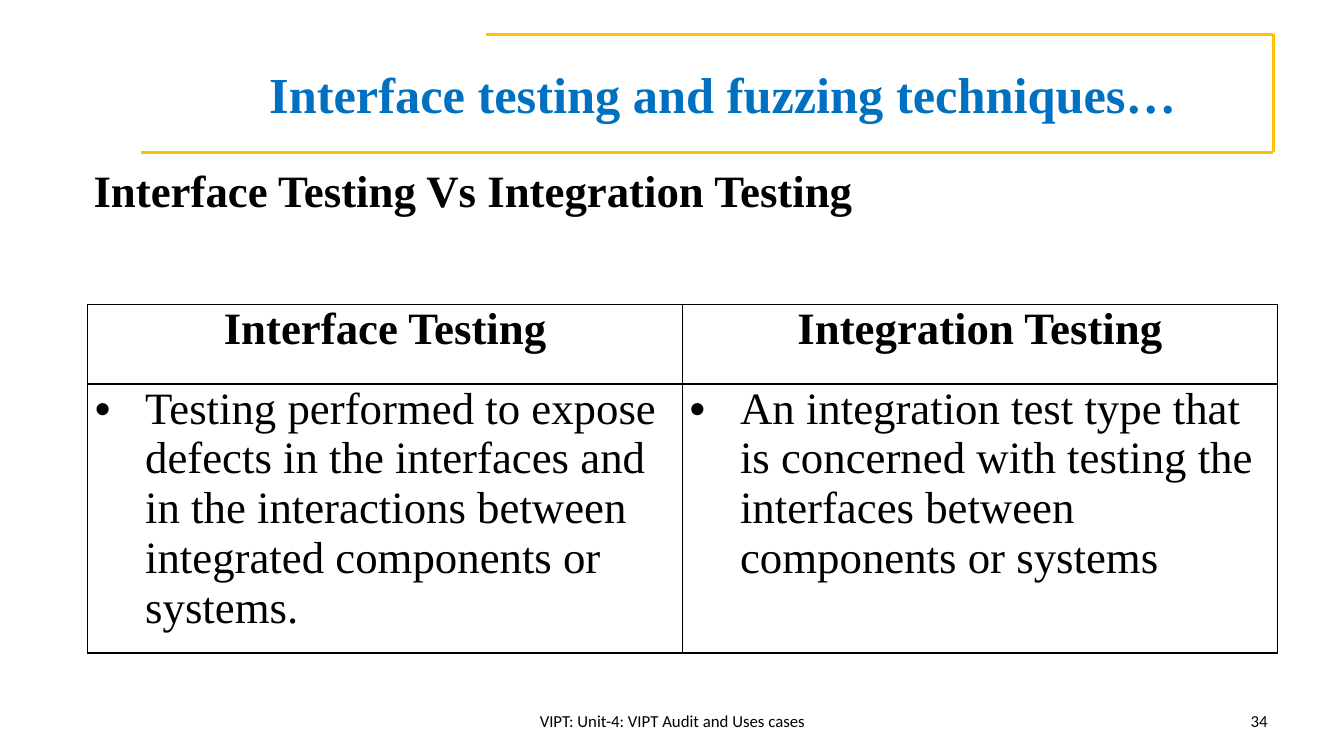
from pptx import Presentation
from pptx.dml.color import RGBColor
from pptx.enum.shapes import MSO_CONNECTOR
from pptx.enum.text import MSO_ANCHOR, PP_ALIGN
from pptx.oxml.ns import qn
from pptx.util import Inches, Pt
from lxml.etree import SubElement

BLACK = RGBColor(0, 0, 0)
BLUE = RGBColor(0x00, 0x70, 0xC0)
GOLD = RGBColor(0xFF, 0xC1, 0x00)

HEADING = dict(name="Times New Roman", size=Pt(32), bold=True)
BODY = {**HEADING, "bold": False}
TITLE = {**HEADING, "size": Pt(36)}
FOOTER = dict(name="Calibri", size=Pt(12))

# text, (left, top, width, height), font, colour, alignment, anchor
TEXTS = [
    ("Interface testing and fuzzing techniques…", (1.67, 0.3, 11, 1.25),
     TITLE, BLUE, PP_ALIGN.CENTER, MSO_ANCHOR.MIDDLE),
    ("VIPT: Unit-4: VIPT Audit and Uses cases", (4.56, 6.95, 4.22, 0.4),
     FOOTER, BLACK, PP_ALIGN.CENTER, MSO_ANCHOR.MIDDLE),
    ("34", (9.56, 6.95, 3.11, 0.4),
     FOOTER, BLACK, PP_ALIGN.RIGHT, MSO_ANCHOR.MIDDLE),
    ("Interface Testing Vs Integration Testing", (0.83, 1.57, 12.26, 0.64),
     HEADING, BLACK, PP_ALIGN.JUSTIFY, MSO_ANCHOR.TOP),
]
COMPARISON = [
    ("Interface Testing", "Integration Testing"),
    ("Testing performed to expose defects in the interfaces and in the "
     "interactions between integrated components or systems.",
     "An integration test type that is concerned with testing the "
     "interfaces between components or systems"),
]
TABLE_LEFT, TABLE_TOP, COLUMN_WIDTH = 0.87, 3.02, 5.9
ROW_HEIGHTS = (0.79, 2.66)
FRAME = [(4.82, 0.34), (12.63, 0.34), (12.63, 1.51), (1.4, 1.51)]


def write(tf, text, font, color, align):
    p = tf.paragraphs[0]
    p.alignment = align
    r = p.add_run()
    r.text = text
    for key, value in font.items():
        setattr(r.font, key, value)
    r.font.color.rgb = color
    return p


def add_bullet(p):
    pPr = p._p.get_or_add_pPr()
    pPr.set("marL", str(Inches(0.5)))
    pPr.set("indent", str(Inches(-0.5)))
    SubElement(pPr, qn("a:buFont"), typeface="Arial")
    SubElement(pPr, qn("a:buChar"), char="•")


def add_borders(cell):
    """Draw all four cell edges; edges must precede the fill in tcPr."""
    tcPr = cell._tc.get_or_add_tcPr()
    for i, edge in enumerate(("a:lnL", "a:lnR", "a:lnT", "a:lnB")):
        ln = SubElement(tcPr, qn(edge), w=str(Pt(1)))
        fill = SubElement(ln, qn("a:solidFill"))
        SubElement(fill, qn("a:srgbClr"), val=str(BLACK))
        tcPr.insert(i, ln)


def add_frame(slide):
    for start, end in zip(FRAME, FRAME[1:]):
        line = slide.shapes.add_connector(
            MSO_CONNECTOR.STRAIGHT, *map(Inches, start + end))
        line.line.color.rgb = GOLD
        line.line.width = Pt(2)
        SubElement(line._element.spPr, qn("a:effectLst"))


def add_comparison(slide):
    rows, cols = len(COMPARISON), len(COMPARISON[0])
    box = (TABLE_LEFT, TABLE_TOP, COLUMN_WIDTH * cols, sum(ROW_HEIGHTS))
    table = slide.shapes.add_table(rows, cols, *map(Inches, box)).table
    table.first_row = table.horz_banding = False
    for row, height in zip(table.rows, ROW_HEIGHTS):
        row.height = Inches(height)
    for i, texts in enumerate(COMPARISON):
        for j, text in enumerate(texts):
            cell = table.cell(i, j)
            cell.margin_left = cell.margin_right = Inches(0.07)
            cell.margin_top = cell.margin_bottom = 0
            cell.fill.background()
            add_borders(cell)
            if i == 0:
                write(cell.text_frame, text, HEADING, BLACK, PP_ALIGN.CENTER)
            else:
                add_bullet(write(cell.text_frame, text, BODY, BLACK, PP_ALIGN.LEFT))


def main():
    prs = Presentation()
    prs.slide_width, prs.slide_height = Inches(13.33), Inches(7.5)
    slide = prs.slides.add_slide(prs.slide_layouts[6])
    add_frame(slide)
    for text, box, font, color, align, anchor in TEXTS:
        tf = slide.shapes.add_textbox(*map(Inches, box)).text_frame
        tf.word_wrap = True
        tf.vertical_anchor = anchor
        write(tf, text, font, color, align)
    add_comparison(slide)
    prs.save("out.pptx")


if __name__ == "__main__":
    main()
